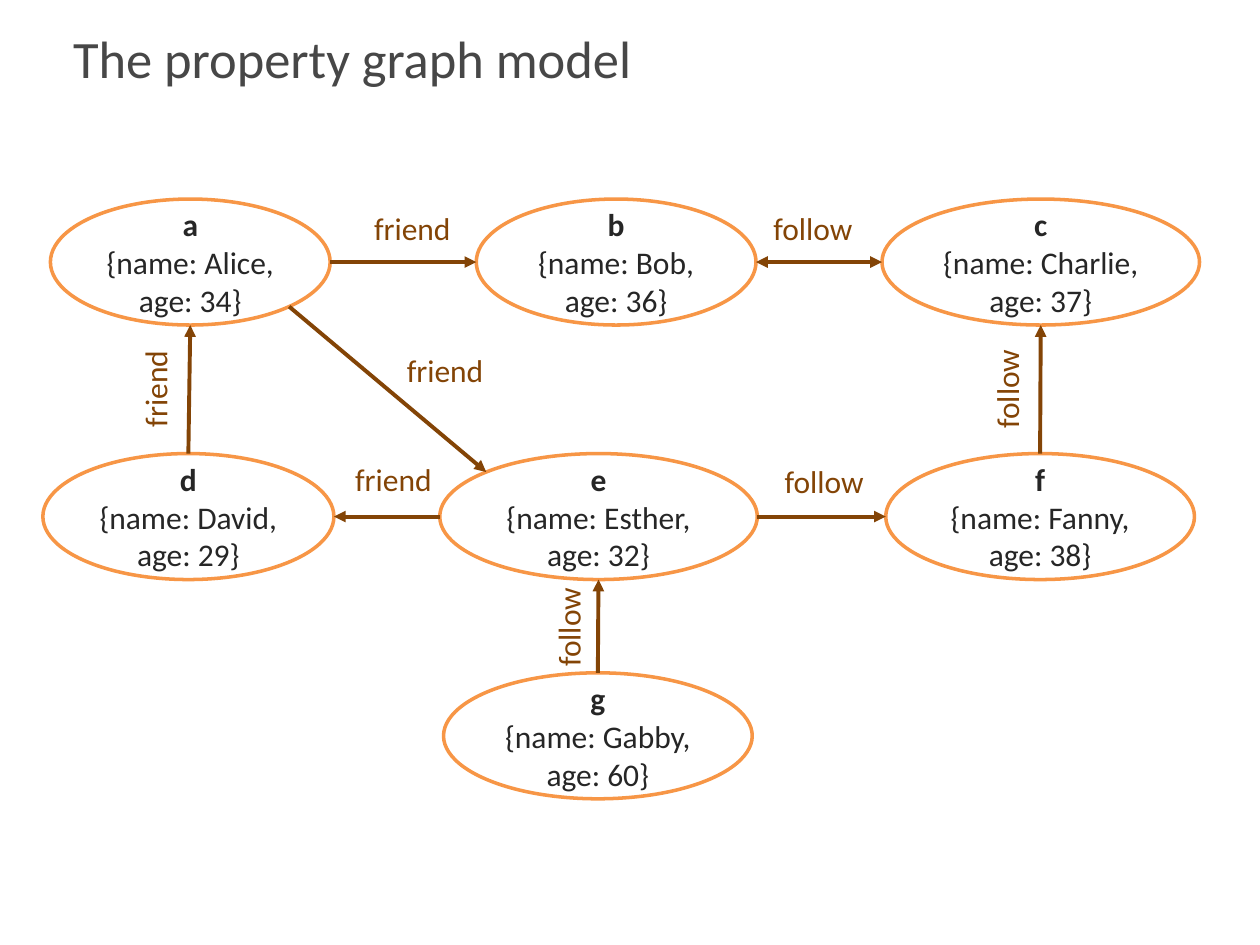
from collections import namedtuple
from dataclasses import dataclass
from math import sqrt

from pptx import Presentation
from pptx.dml.color import RGBColor as Rgb
from pptx.enum.shapes import MSO_CONNECTOR as Conn, MSO_SHAPE as Form
from pptx.enum.text import MSO_ANCHOR as Anchor, MSO_AUTO_SIZE as Fit, PP_ALIGN as Align
from pptx.oxml.ns import qn
from pptx.util import Inches, Pt
from lxml.etree import SubElement as add_tag

Box = namedtuple("Box", "left top width height")


@dataclass(frozen=True)
class Theme:
    font: str = "Calibri"
    title: Rgb = Rgb.from_string("474747")
    text: Rgb = Rgb.from_string("262626")
    edge: Rgb = Rgb.from_string("834406")
    ring: Rgb = Rgb.from_string("F79646")
    paper: Rgb = Rgb.from_string("FFFFFF")
    head_size: Pt = Pt(30)
    size: Pt = Pt(18)
    ring_width: Pt = Pt(2)
    edge_width: Pt = Pt(2.25)


THEME = Theme()
HIGH = 1
ROWS = (1.58, 3.6, 5.34)
NODES = {
    "a": (0.4, 0, 2.22, "{name: Alice, age: 34}"),
    "b": (3.78, 0, 2.22, "{name: Bob, age: 36}"),
    "c": (7, 0, 2.52, "{name: Charlie, age: 37}"),
    "d": (0.34, 1, 2.31, "{name: David, age: 29}"),
    "e": (3.49, 1, 2.52, "{name: Esther, age: 32}"),
    "f": (7.03, 1, 2.45, "{name: Fanny, age: 38}"),
    "g": (3.52, 2, 2.45, "{name: Gabby, age: 60}"),
}
DIAG = 1 / sqrt(2)
EAST, WEST, NORTH, SOUTH = (1, 0), (-1, 0), (0, -1), (0, 1)
SLANT, BACK = (DIAG, DIAG), (-DIAG, -DIAG)
EDGES = (
    ("a", EAST, "b", WEST, "friend", 2.87, 1.61),
    ("e", WEST, "d", EAST, "friend", 2.72, 3.6),
    ("c", WEST, "b", EAST, "follow", 6.04, 1.61),
    ("f", NORTH, "c", SOUTH, "follow", 7.57, 2.88),
    ("e", EAST, "f", WEST, "follow", 6.13, 3.62),
    ("d", NORTH, "a", SOUTH, "friend", 0.82, 2.88),
    ("a", SLANT, "e", BACK, "friend", 3.13, 2.74),
    ("g", NORTH, "e", SOUTH, "follow", 4.09, 4.77),
)
MUTUAL = {("c", "b")}
WIDTHS = {"friend": 0.82, "follow": 0.84}


def style(run, size, color, bold=False):
    font = run.font
    font.name, font.size, font.bold = THEME.font, size, bold
    font.color.rgb = color


def add_title(slide, box, text):
    title = slide.shapes.title
    title.left, title.top, title.width, title.height = map(Inches, box)
    frame = title.text_frame
    frame.text = text
    frame.vertical_anchor = Anchor.MIDDLE
    line = frame.paragraphs[0]
    line.alignment = Align.LEFT
    style(line.runs[0], THEME.head_size, THEME.title)


def add_node(slide, box, key, facts):
    node = slide.shapes.add_shape(Form.OVAL, *map(Inches, box))
    node.shadow.inherit = False
    node.fill.solid()
    node.fill.fore_color.rgb = THEME.paper
    node.line.color.rgb = THEME.ring
    node.line.width = THEME.ring_width
    frame = node.text_frame
    frame.word_wrap = True
    frame.vertical_anchor = Anchor.MIDDLE
    line = frame.paragraphs[0]
    line.text = f"{key}\v{facts}"
    line.alignment = Align.CENTER
    for run in line.runs:
        style(run, THEME.size, THEME.text, run.text == key)


def find_port(box, side):
    return (Inches(box.left + box.width * (1 + side[0]) / 2),
            Inches(box.top + box.height * (1 + side[1]) / 2))


def add_arrow(slide, start, end, both):
    arrow = slide.shapes.add_connector(Conn.STRAIGHT, *start, *end)
    arrow.line.color.rgb = THEME.edge
    arrow.line.width = THEME.edge_width
    stroke = arrow.line._get_or_add_ln()
    for tag in ("a:headEnd", "a:tailEnd") if both else ("a:tailEnd",):
        add_tag(stroke, qn(tag), type="triangle")
    add_tag(arrow._element.spPr, qn("a:effectLst"))


def add_label(slide, box, text, turn):
    label = slide.shapes.add_textbox(*map(Inches, box))
    label.rotation = turn
    frame = label.text_frame
    frame.text = text
    frame.word_wrap = False
    frame.auto_size = Fit.SHAPE_TO_FIT_TEXT
    style(frame.paragraphs[0].runs[0], THEME.size, THEME.edge)


def add_graph(slide):
    boxes = {}
    for key, (left, row, width, facts) in NODES.items():
        boxes[key] = Box(left, ROWS[row], width, HIGH)
        add_node(slide, boxes[key], key, facts)
    for source, out, target, into, text, left, top in EDGES:
        add_arrow(slide, find_port(boxes[source], out),
                  find_port(boxes[target], into), (source, target) in MUTUAL)
        add_label(slide, Box(left, top, WIDTHS[text], 0.4), text,
                  270 if out == NORTH else 0)


def main():
    deck = Presentation()
    deck.slide_width, deck.slide_height = Inches(10), Inches(7.5)
    slide = deck.slides.add_slide(deck.slide_layouts[5])
    add_title(slide, Box(0.48, 0.08, 9.19, 0.75), "The property graph model")
    add_graph(slide)
    deck.save("out.pptx")


if __name__ == "__main__":
    main()
